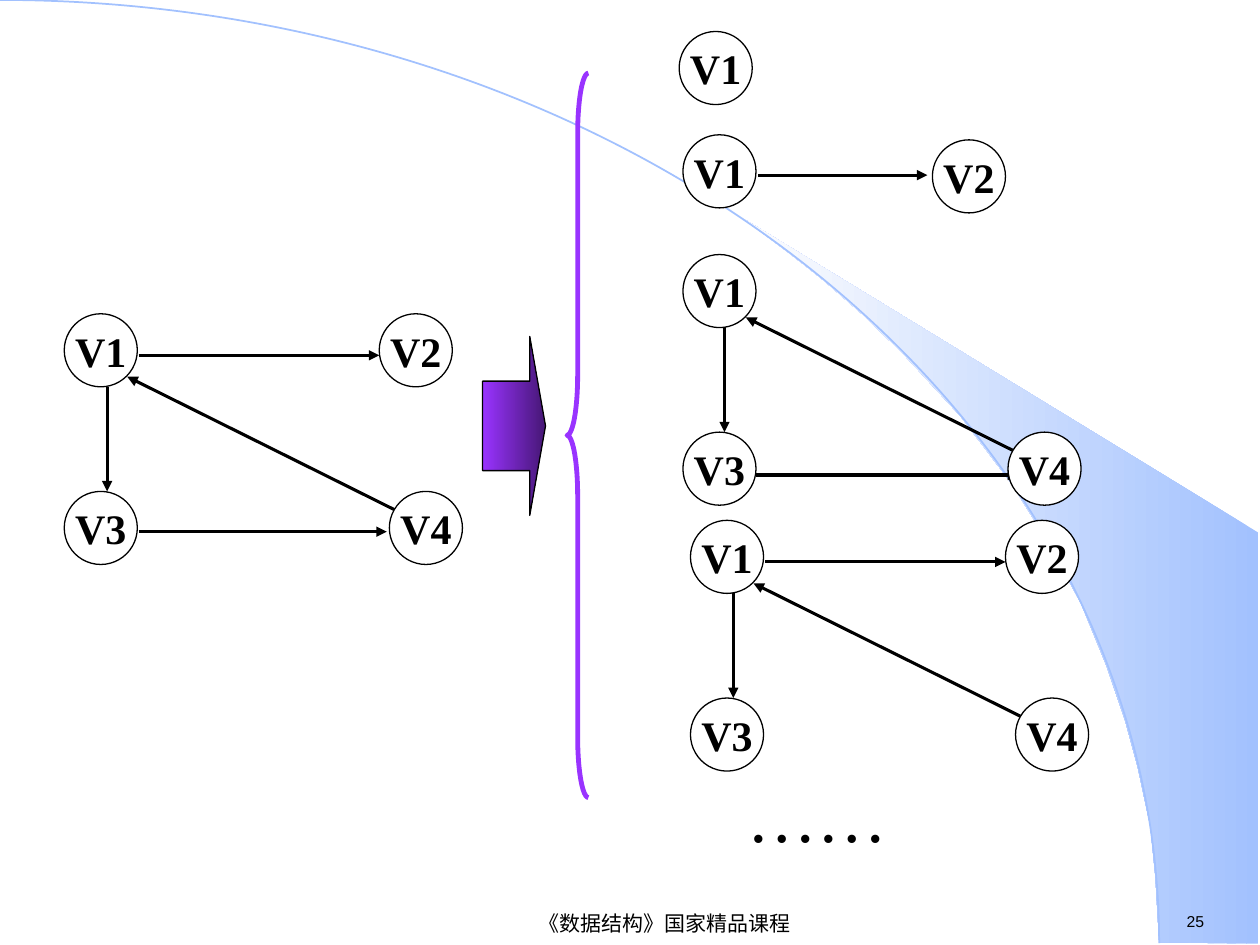
from pptx import Presentation
from pptx.dml.color import RGBColor
from pptx.enum.shapes import MSO_CONNECTOR, MSO_SHAPE
from pptx.enum.text import MSO_ANCHOR, PP_ALIGN
from pptx.oxml.ns import qn
from pptx.util import Inches, Pt
from lxml import etree

BLACK = RGBColor(0x00, 0x00, 0x00)
WHITE = RGBColor(0xFF, 0xFF, 0xFF)
NEAR_WHITE = RGBColor(0xFE, 0xFE, 0xFE)
SKY = RGBColor(0xA2, 0xC1, 0xFE)
PURPLE = RGBColor(0x99, 0x33, 0xFF)
DARK_PURPLE = RGBColor(0x46, 0x17, 0x75)

STRAIGHT = MSO_CONNECTOR.STRAIGHT
NODE_SHAPE = MSO_SHAPE.FLOWCHART_CONNECTOR
LEFT, CENTER = PP_ALIGN.LEFT, PP_ALIGN.CENTER
TOP, MIDDLE = MSO_ANCHOR.TOP, MSO_ANCHOR.MIDDLE

NODE_SIZE = 0.58
# Offsets from the top left corner of a graph
NODES = {"V1": (0, 0), "V2": (2.5, 0), "V3": (0, 1.41), "V4": (2.58, 1.41)}
EDGES = {
    "V1V3": ((0.34, 0.58), (0.34, 1.41)),
    "V1V2": ((0.59, 0.33), (2.5, 0.33)),
    "V3V4": ((0.59, 1.73), (2.56, 1.73)),
    "V4V1": ((2.67, 1.58), (0.5, 0.5)),
}

# Wedge to the right of the arc: outer corners, then points along the arc
WEDGE = [
    (9.2, 7.48), (9.99, 7.49), (9.99, 4.23), (5.89, 1.73), (6.24, 1.99),
    (6.53, 2.22), (6.85, 2.5), (7.16, 2.8), (7.62, 3.3), (8.03, 3.84),
    (8.32, 4.31), (8.58, 4.79), (8.78, 5.28), (8.93, 5.72), (9.03, 6.09),
    (9.13, 6.56), (9.17, 6.96), (9.2, 7.48),
]


def write_text(shape, text, size, font="Times New Roman", bold=False,
               align=LEFT, anchor=TOP, wrap=False):
    frame = shape.text_frame
    frame.word_wrap = wrap
    frame.vertical_anchor = anchor
    paragraph = frame.paragraphs[0]
    paragraph.alignment = align
    run = paragraph.add_run()
    run.text = text
    run.font.name = font
    run.font.size = Pt(size)
    run.font.bold = bold
    run.font.color.rgb = BLACK


def add_label(slide, box, text, size, **text_format):
    label = slide.shapes.add_textbox(*map(Inches, box))
    write_text(label, text, size, **text_format)


def add_outlined(slide, preset, box, color, width):
    shape = slide.shapes.add_shape(preset, *map(Inches, box))
    shape.shadow.inherit = False
    shape.fill.background()
    shape.line.color.rgb = color
    shape.line.width = Pt(width)
    return shape


def fill_gradient(shape, right_color, left_color):
    """Blend from the right edge to the left edge."""
    shape.fill.gradient()
    shape.fill.gradient_angle = 180
    for stop, color in zip(shape.fill.gradient_stops, (right_color, left_color)):
        stop.color.rgb = color


def add_edge(slide, start, end):
    edge = slide.shapes.add_connector(STRAIGHT, *map(Inches, (*start, *end)))
    edge.line.color.rgb = BLACK
    edge.line.width = Pt(1.75)
    etree.SubElement(edge.line._get_or_add_ln(), qn("a:tailEnd"), type="triangle")
    etree.SubElement(edge._element.spPr, qn("a:effectLst"))


def add_node(slide, left, top, name):
    node = add_outlined(slide, NODE_SHAPE, (left, top, NODE_SIZE, NODE_SIZE), BLACK, 0.75)
    node.fill.solid()
    node.fill.fore_color.rgb = WHITE
    write_text(node, name, 24, bold=True, align=CENTER, anchor=MIDDLE)


def add_graph(slide, left, top, node_names, edge_names=(), moved_nodes={}, moved_edges={}):
    """Draw the named parts at their usual offsets, unless moved."""
    nodes, edges = NODES | moved_nodes, EDGES | moved_edges
    for name in edge_names:
        start, end = [(left + x, top + y) for x, y in edges[name]]
        add_edge(slide, start, end)
    for name in node_names:
        x, y = nodes[name]
        add_node(slide, left + x, top + y, name)


def add_background(slide):
    points = [(Inches(x), Inches(y)) for x, y in WEDGE]
    builder = slide.shapes.build_freeform(*points[0], scale=1.0)
    builder.add_line_segments(points[1:], close=True)
    wedge = builder.convert_to_shape()
    wedge.shadow.inherit = False
    wedge.line.fill.background()
    fill_gradient(wedge, SKY, NEAR_WHITE)
    add_outlined(slide, MSO_SHAPE.ARC, (-9.2, 0, 18.4, 14.97), SKY, 1)


def add_footer(slide):
    add_label(slide, (9.32, 7.19, 0.77, 0.25), "25", 9, font="Arial")
    add_label(slide, (2.4, 7.21, 5.75, 0.24), "《数据结构》国家精品课程", 12,
              font="Arial", align=CENTER, anchor=MIDDLE)


def add_subgraphs(slide, left):
    add_graph(slide, left - 0.03, 0.25, ["V1"])
    add_graph(slide, left, 1.07, ["V2", "V1"], ["V1V2"],
              moved_nodes={"V2": (1.98, 0.04)},
              moved_edges={"V1V2": ((0.6, 0.32), (1.94, 0.32))})
    add_graph(slide, left + 0.06, 4.13, ["V4", "V3", "V2", "V1"], ["V1V3", "V1V2", "V4V1"])
    add_graph(slide, left, 2.02, ["V4", "V3", "V1"], ["V1V3", "V3V4", "V4V1"],
              moved_edges={"V1V3": ((0.33, 0.5), (0.33, 1.41)),
                           "V3V4": ((0.58, 1.75), (2.66, 1.75))})
    add_label(slide, (left + 0.41, 6.08, 2.25, 0.77), "……", 40, wrap=True)


def add_divider(slide):
    brace = add_outlined(slide, MSO_SHAPE.LEFT_BRACE, (4.5, 0.58, 0.17, 5.75), PURPLE, 2.75)
    brace.adjustments[0] = 2.82
    brace.adjustments[1] = 0.5
    arrow = add_outlined(slide, MSO_SHAPE.RIGHT_ARROW, (3.83, 2.67, 0.5, 1.42), BLACK, 0.75)
    arrow.adjustments[0] = 0.5
    arrow.adjustments[1] = 0.25
    fill_gradient(arrow, DARK_PURPLE, PURPLE)


def main():
    presentation = Presentation()
    presentation.slide_width = Inches(10)
    presentation.slide_height = Inches(7.5)
    slide = presentation.slides.add_slide(presentation.slide_layouts[6])
    add_background(slide)
    add_footer(slide)
    add_graph(slide, 0.51, 2.49, ["V4", "V3", "V2", "V1"], EDGES)
    add_subgraphs(slide, 5.42)
    add_divider(slide)
    presentation.save("out.pptx")


if __name__ == "__main__":
    main()
